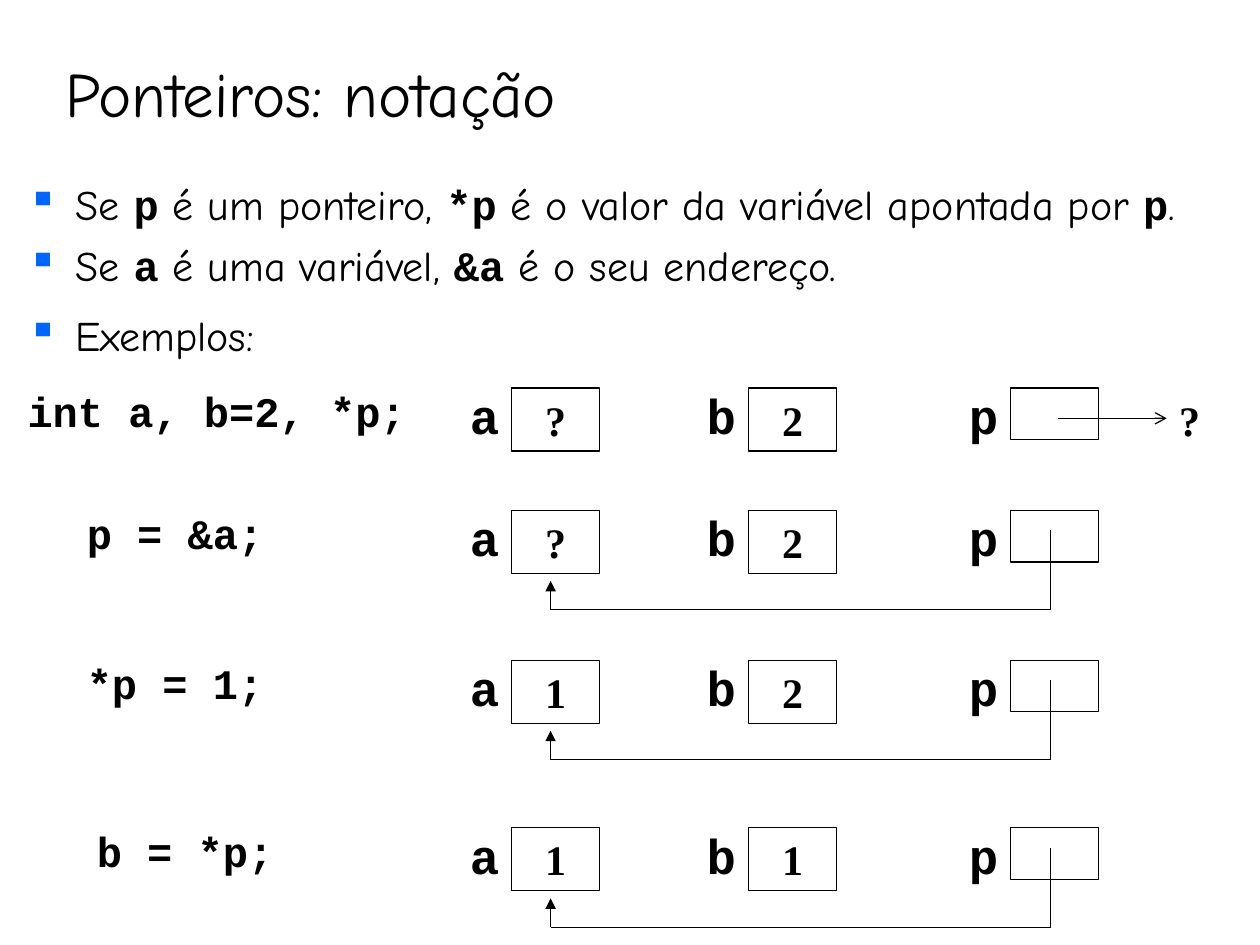
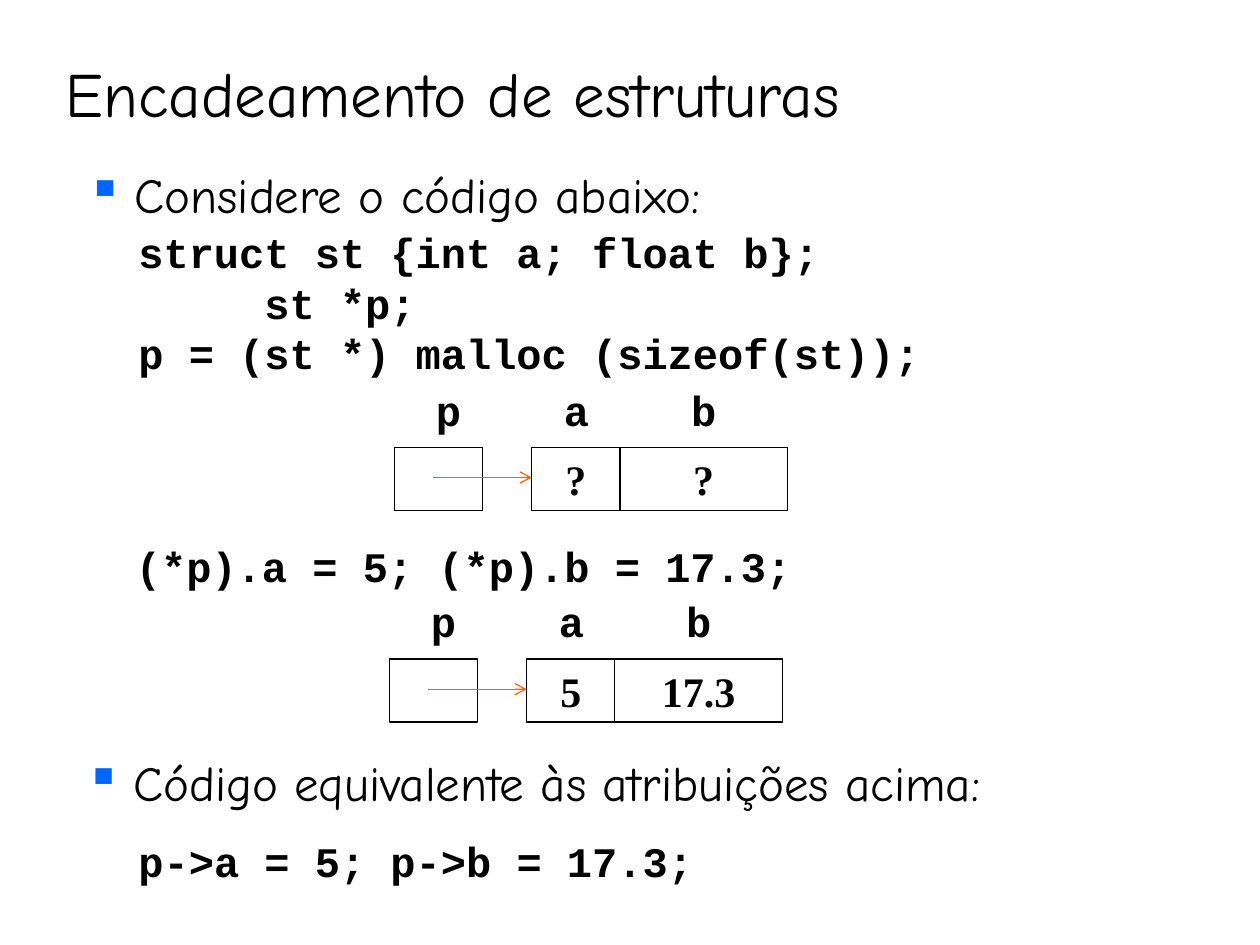
from dataclasses import dataclass
from typing import Any

import lxml.etree
import pptx
import pptx.dml.color
import pptx.enum.shapes
import pptx.enum.text
import pptx.oxml
import pptx.oxml.ns
import pptx.util

Inches = pptx.util.Inches
Pt = pptx.util.Pt
ALIGN = pptx.enum.text.PP_ALIGN
ANCHOR = pptx.enum.text.MSO_ANCHOR
RECT = pptx.enum.shapes.MSO_SHAPE.RECTANGLE
LINE = pptx.enum.shapes.MSO_CONNECTOR.STRAIGHT

# Shared look
HUES = {"ink": "000000", "mark": "0066FF", "link": "FF6200", "paper": "FFFFFF"}
PROSE, CODE, VALUE = "Comic Neue", "Courier New", "Times New Roman"
STROKE = Pt(0.75)
CELL = 0.7      # width of a variable's cell
HIGH = 0.5      # height of a cell holding a value
TAG = 0.55      # width of a variable's label


@dataclass
class Step:
    """A statement and the memory after it."""
    code: str
    left: float
    top: float
    a: str
    b: str
    linked: bool = True


@dataclass
class Node:
    """A pointer and the structure it reaches."""
    left: float
    top: float
    a: str
    b: str


def hue(name: str) -> Any:
    return pptx.dml.color.RGBColor.from_string(HUES[name])


def style(run: Any, face: str, size: float) -> None:
    font = run.font
    font.name, font.size, font.bold = face, Pt(size), face != PROSE
    font.color.rgb = hue("ink")


def fill(shape: Any, text: str, face: str, size: float, align: Any) -> None:
    frame = shape.text_frame
    frame.word_wrap = True
    frame.vertical_anchor = ANCHOR.TOP
    frame.text = text
    for par in frame.paragraphs:
        par.alignment = align
        for run in par.runs:
            style(run, face, size)


def write(shapes: Any, text: str, left: float, top: float, width: float,
          high: float = HIGH, face: str = CODE, size: float = 24,
          align: Any = ALIGN.LEFT) -> None:
    box = shapes.add_textbox(Inches(left), Inches(top), Inches(width), Inches(high))
    fill(box, text, face, size, align)


def cell(shapes: Any, left: float, top: float, text: str = "",
         width: float = CELL, high: float = HIGH) -> None:
    box = shapes.add_shape(RECT, Inches(left), Inches(top), Inches(width), Inches(high))
    box.shadow.inherit = False
    box.fill.background()
    box.line.color.rgb = hue("ink")
    box.line.width = STROKE
    if text:
        fill(box, text, VALUE, 24, ALIGN.CENTER)


def join(shapes: Any, start: tuple[float, float], end: tuple[float, float],
         head: str = "", color: str = "ink") -> None:
    line = shapes.add_connector(LINE, *map(Inches, start + end))
    line.line.color.rgb = hue(color)
    line.line.width = STROKE
    if head:
        lxml.etree.SubElement(line.line._get_or_add_ln(),
                              pptx.oxml.ns.qn("a:tailEnd"), type=head)
    lxml.etree.SubElement(line._element.spPr, pptx.oxml.ns.qn("a:effectLst"))


def mark(par: Any) -> None:
    """Give a paragraph its hanging square bullet."""
    props = par._p.get_or_add_pPr()
    props.set("marL", str(Inches(0.38)))
    props.set("indent", str(-Inches(0.38)))
    tint = lxml.etree.SubElement(props, pptx.oxml.ns.qn("a:buClr"))
    lxml.etree.SubElement(tint, pptx.oxml.ns.qn("a:srgbClr"), val=HUES["mark"])
    lxml.etree.SubElement(props, pptx.oxml.ns.qn("a:buChar"), char="▪")


def points(shapes: Any, items: list[str], left: float, top: float, width: float,
           high: float, size: float, gaps: tuple[float, ...] = (0,)) -> None:
    """Bulleted text; code words stand between bars."""
    box = shapes.add_textbox(Inches(left), Inches(top), Inches(width), Inches(high))
    frame = box.text_frame
    frame.word_wrap = True
    for index, (item, gap) in enumerate(zip(items, gaps)):
        par = frame.add_paragraph() if index else frame.paragraphs[0]
        mark(par)
        par.space_before = Pt(gap)
        for spot, part in enumerate(item.split("|")):
            run = par.add_run()
            run.text = part
            style(run, CODE if spot % 2 else PROSE, size)


def start(deck: Any, title: str) -> Any:
    slide = deck.slides.add_slide(deck.slide_layouts[5])
    slide.background.fill.solid()
    slide.background.fill.fore_color.rgb = hue("paper")
    head = slide.shapes.title
    head.left, head.top = Inches(0.42), Inches(0.25)
    head.width, head.height = Inches(9.08), Inches(0.83)
    fill(head, title, PROSE, 36, ALIGN.LEFT)
    head.text_frame.vertical_anchor = ANCHOR.BOTTOM
    head.text_frame.auto_size = pptx.enum.text.MSO_AUTO_SIZE.NONE
    return slide.shapes


def trace(shapes: Any, step: Step) -> None:
    """One statement with its three variables."""
    top = step.top
    write(shapes, step.code, step.left, top - 0.07, 3.31)
    group = shapes.add_group_shape().shapes
    for name, left, text in (("a", 4.06, step.a), ("b", 5.94, step.b), ("p", 8.02, "")):
        cell(group, left, top, text, high=HIGH if text else 0.41)
        write(group, name, left - TAG, top - 0.07, TAG, 0.57, size=28, align=ALIGN.RIGHT)
    if step.linked:
        base = top + 0.79
        join(group, (8.34, top + 0.16), (8.34, base))
        join(group, (8.34, base), (4.37, base))
        join(group, (4.37, base), (4.37, top + 0.56), "triangle")
    else:
        join(group, (8.4, top + 0.24), (9.26, top + 0.24), "arrow")
        write(group, "?", 9.26, top, TAG, face=VALUE)


def draw(shapes: Any, node: Node) -> None:
    """A pointer cell, its arrow and the two fields."""
    left, top = node.left, node.top
    group = shapes.add_group_shape().shapes
    cell(group, left, top)
    cell(group, left + 1.09, top, node.a)
    cell(group, left + 1.79, top, node.b, width=1.33)
    for name, shift, width in (("p", 0, 0.86), ("a", 1.17, TAG), ("b", 2.18, TAG)):
        write(group, name, left + shift, top - 0.55, width, align=ALIGN.CENTER)
    join(group, (left + 0.31, top + 0.24), (left + 1.09, top + 0.24), "arrow", "link")


STEPS = [
    Step("int a, b=2, *p;", 0.12, 3.08, "?", "2", linked=False),
    Step("p = &a;", 0.59, 4.05, "?", "2"),
    Step("*p = 1;", 0.59, 5.24, "1", "2"),
    Step("b = *p;", 0.67, 6.57, "1", "1"),
]
NODES = [Node(3.13, 3.55, "?", "?"), Node(3.09, 5.23, "5", "17.3")]


def main() -> None:
    deck = pptx.Presentation()
    deck.slide_width, deck.slide_height = Inches(10), Inches(7.5)

    # Pointer notation
    shapes = start(deck, "Ponteiros: notação")
    points(shapes, ["Se |p| é um ponteiro, |*p| é o valor da variável apontada por |p|.",
                    "Se |a| é uma variável, |&a| é o seu endereço.",
                    "Exemplos:"], 0.12, 1.37, 9.8, 1.67, 24, (0, 6, 11))
    for step in STEPS:
        trace(shapes, step)

    # Linked structures
    shapes = start(deck, "Encadeamento de estruturas")
    points(shapes, ["Considere o código abaixo:"], 0.59, 1.26, 8.19, 0.64, 28)
    write(shapes, "struct st {int a; float b};\n     st *p;\n"
                  "p = (st *) malloc (sizeof(st));", 1, 1.75, 7.03, 1.3)
    write(shapes, "(*p).a = 5; (*p).b = 17.3;", 0.98, 4.24, 8.52)
    for node in NODES:
        draw(shapes, node)
    points(shapes, ["Código equivalente às atribuições acima:"], 0.58, 5.92, 8.19, 0.64, 28)
    write(shapes, "p->a = 5; p->b = 17.3;", 1, 6.58, 8.52)

    deck.save("out.pptx")


if __name__ == "__main__":
    main()
